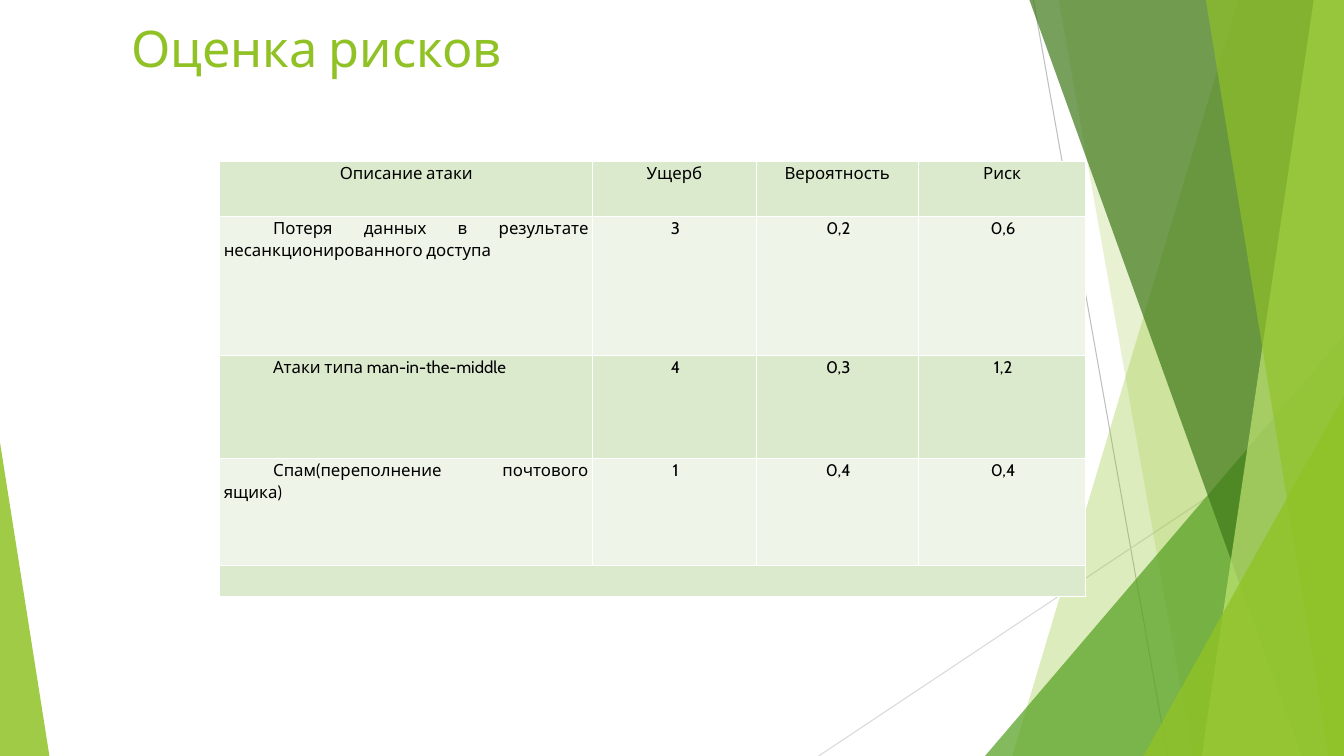
from dataclasses import dataclass

from lxml import etree
from pptx import Presentation
from pptx.dml.color import RGBColor
from pptx.enum.shapes import MSO_CONNECTOR, MSO_SHAPE
from pptx.enum.text import MSO_ANCHOR, PP_ALIGN
from pptx.oxml import parse_xml
from pptx.oxml.ns import nsdecls, qn
from pptx.util import Inches, Pt

# Content
TITLE = "Оценка рисков"
RISKS = [
    ("Описание атаки", "Ущерб", "Вероятность", "Риск"),
    ("Потеря данных в результате несанкционированного доступа", "3", "0,2", "0,6"),
    ("Атаки типа man-in-the-middle", "4", "0,3", "1,2"),
    ("Спам(переполнение почтового ящика)", "1", "0,4", "0,4"),
    ("", "", "", ""),
]
COLUMN_WIDTHS = (3.7, 1.62, 1.61, 1.66)
ROW_HEIGHTS = (0.55, 1.38, 1.02, 1.06, 0.3)
WIDTH, HEIGHT = 13.33, 7.5


@dataclass(frozen=True)
class Theme:
    font: str = "Cabin"
    title_size: float = 36
    table_size: float = 12
    text: str = "000000"
    border: str = "FFFFFF"
    accent: str = "90C226"
    green: str = "54A021"
    dark: str = "3F7819"
    light: str = "C0E474"
    bands: tuple = ("DBE9CD", "EEF4E8")


THEME = Theme()

# Decoration: thin lines as start, end, colour
LINES = [
    ((10.25, 0), (11.58, HEIGHT), "BFBFBF"),
    ((WIDTH, 4.03), (8.12, HEIGHT), "D9D9D9"),
]
# Bands reach the right edge: top left x, bottom left x, colour, opacity %
# Triangles stand on the bottom edge: left, top, width, apex, colour, opacity %
DECORATION = [
    ("band", 12.28, 10.04, THEME.accent, 30),
    ("band", 10.5, 11.83, THEME.accent, 20),
    ("triangle", 9.77, 3.33, 3.56, 1, THEME.green, 72),
    ("band", 10.21, 12.91, THEME.dark, 70),
    ("band", 13.03, 11.92, THEME.light, 70),
    ("band", 11.96, 13.18, THEME.accent, 65),
    ("triangle", 11.34, 3.93, 1.99, 1, THEME.accent, 80),
    ("triangle", 0, 4.39, 0.49, 0, THEME.accent, 85),
]


def style_font(font, size, color):
    font.name = THEME.font
    font.size = Pt(size)
    font.color.rgb = RGBColor.from_string(color)


def paint(shape, color, opacity):
    shape.shadow.inherit = False
    shape.line.fill.background()
    shape.fill.solid()
    shape.fill.fore_color.rgb = RGBColor.from_string(color)
    color_element = shape.fill._xPr.find(qn("a:solidFill"))[0]
    etree.SubElement(color_element, qn("a:alpha")).set("val", str(opacity * 1000))


def add_line(shapes, start, end, color):
    line = shapes.add_connector(
        MSO_CONNECTOR.STRAIGHT, *(Inches(value) for value in start + end))
    line.line.color.rgb = RGBColor.from_string(color)
    line.line.width = Pt(0.75)
    etree.SubElement(line._element.spPr, qn("a:effectLst"))


def add_band(shapes, top_x, bottom_x, color, opacity):
    builder = shapes.build_freeform(Inches(top_x), Inches(0))
    corners = [(WIDTH, 0), (WIDTH, HEIGHT), (bottom_x, HEIGHT)]
    builder.add_line_segments([(Inches(x), Inches(y)) for x, y in corners], close=True)
    paint(builder.convert_to_shape(), color, opacity)


def add_triangle(shapes, left, top, width, apex, color, opacity):
    triangle = shapes.add_shape(
        MSO_SHAPE.ISOSCELES_TRIANGLE,
        Inches(left), Inches(top), Inches(width), Inches(HEIGHT - top))
    triangle.adjustments[0] = apex
    paint(triangle, color, opacity)


def style_cell(cell, row, column):
    cell.margin_left = cell.margin_right = Inches(0.04)
    cell.margin_top = cell.margin_bottom = 0
    properties = cell._tc.get_or_add_tcPr()
    for side in ("lnL", "lnR", "lnT", "lnB"):
        properties.append(parse_xml(
            f'<a:{side} {nsdecls("a")} w="12700"><a:solidFill>'
            f'<a:srgbClr val="{THEME.border}"/></a:solidFill></a:{side}>'))
    cell.fill.solid()
    cell.fill.fore_color.rgb = RGBColor.from_string(THEME.bands[row % 2])
    if not RISKS[row][column]:
        return
    paragraph = cell.text_frame.paragraphs[0]
    paragraph.text = RISKS[row][column]
    style_font(paragraph.font, THEME.table_size, THEME.text)
    paragraph.line_spacing = 1.07
    paragraph.space_after = Pt(8)
    is_description = row > 0 and column == 0
    paragraph.alignment = PP_ALIGN.JUSTIFY if is_description else PP_ALIGN.CENTER
    if row > 0:
        indent = Inches(0.49 if is_description else 0.02)
        paragraph._p.get_or_add_pPr().set("indent", str(indent))


def add_risk_table(shapes):
    table = shapes.add_table(
        len(ROW_HEIGHTS), len(COLUMN_WIDTHS), Inches(2.18), Inches(1.6),
        Inches(sum(COLUMN_WIDTHS)), Inches(sum(ROW_HEIGHTS))).table
    for column, width in zip(table.columns, COLUMN_WIDTHS):
        column.width = Inches(width)
    for row, height in zip(table.rows, ROW_HEIGHTS):
        row.height = Inches(height)
    for row in range(len(ROW_HEIGHTS)):
        for column in range(len(COLUMN_WIDTHS)):
            style_cell(table.cell(row, column), row, column)
    last = len(ROW_HEIGHTS) - 1
    table.cell(last, 0).merge(table.cell(last, len(COLUMN_WIDTHS) - 1))


def add_title(title):
    title.left, title.top = Inches(1.2), Inches(0.12)
    title.width, title.height = Inches(11), Inches(1.59)
    title.text_frame.text = TITLE
    title.text_frame.vertical_anchor = MSO_ANCHOR.TOP
    paragraph = title.text_frame.paragraphs[0]
    paragraph.alignment = PP_ALIGN.LEFT
    style_font(paragraph.font, THEME.title_size, THEME.accent)


def main():
    presentation = Presentation()
    presentation.slide_width = Inches(WIDTH)
    presentation.slide_height = Inches(HEIGHT)
    slide = presentation.slides.add_slide(presentation.slide_layouts[5])

    # Background decoration
    for line in LINES:
        add_line(slide.shapes, *line)
    builders = {"band": add_band, "triangle": add_triangle}
    for kind, *geometry in DECORATION:
        builders[kind](slide.shapes, *geometry)

    # Title and risk table
    add_title(slide.shapes.title)
    add_risk_table(slide.shapes)
    presentation.save("out.pptx")


if __name__ == "__main__":
    main()
